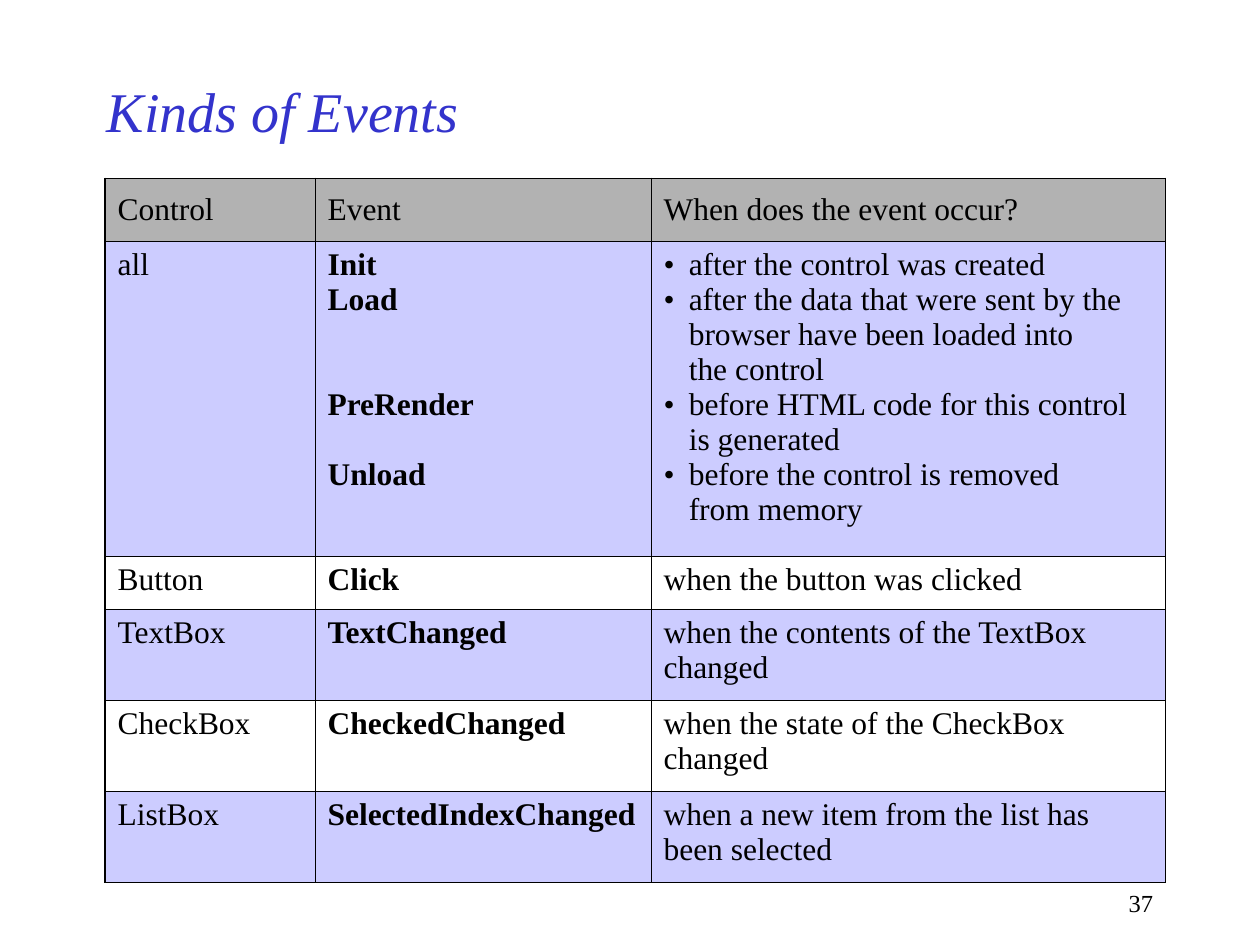
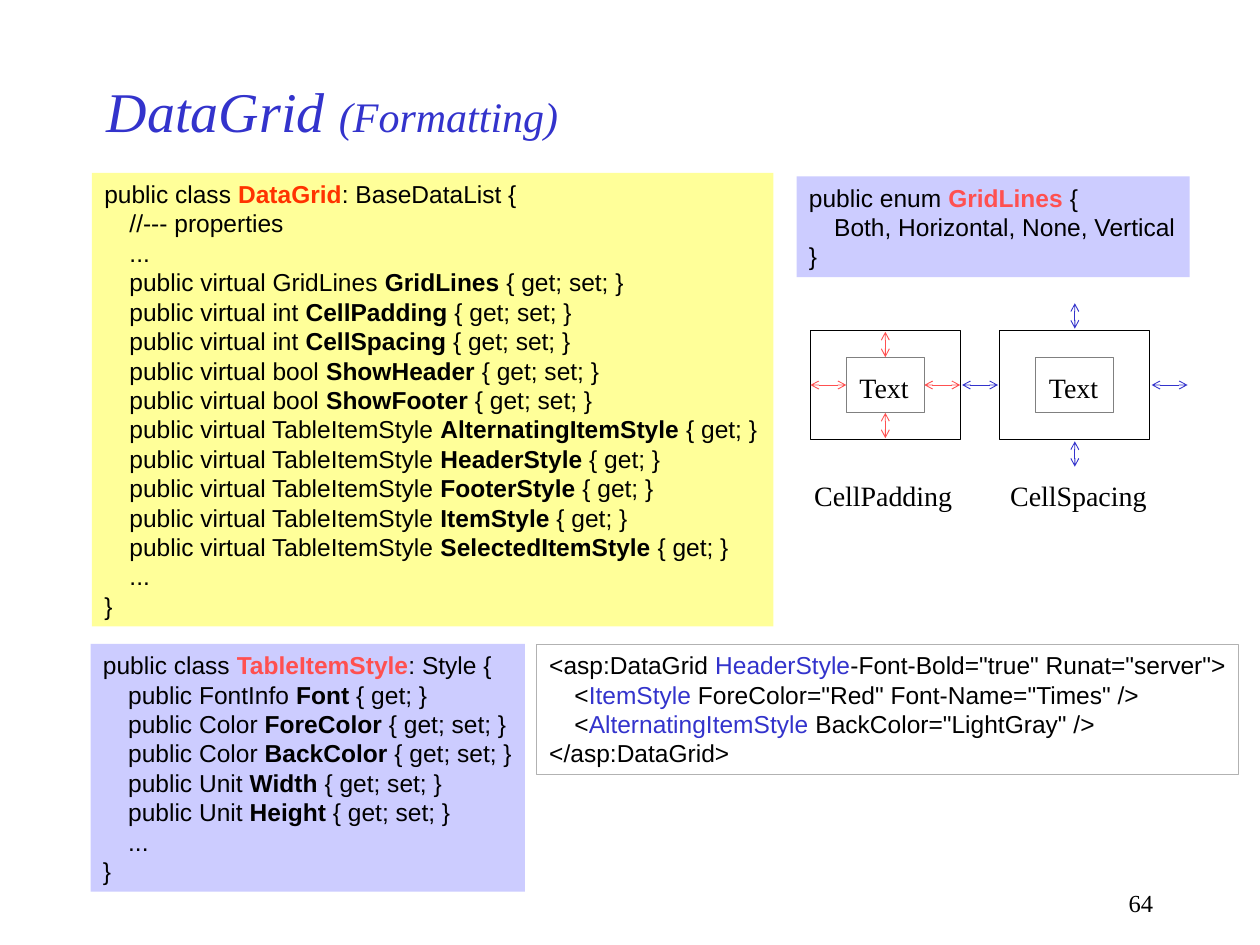
from lxml.etree import SubElement
from pptx import Presentation
from pptx.dml.color import RGBColor
from pptx.enum.shapes import MSO_CONNECTOR, MSO_SHAPE
from pptx.enum.text import MSO_ANCHOR, MSO_AUTO_SIZE, PP_ALIGN
from pptx.oxml import parse_xml
from pptx.oxml.ns import nsdecls, qn
from pptx.util import Pt

BLACK = RGBColor(0x00, 0x00, 0x00)
BLUE = RGBColor(0x33, 0x33, 0xCC)
RED = RGBColor(0xFF, 0x50, 0x50)
ORANGE = RGBColor(0xFF, 0x33, 0x00)
YELLOW = RGBColor(0xFF, 0xFF, 0x99)
LAVENDER = RGBColor(0xCC, 0xCC, 0xFF)
SILVER = RGBColor(0xB2, 0xB2, 0xB2)
GRAY = RGBColor(0x80, 0x80, 0x80)

SERIF = "Times New Roman"
SANS = "Arial"
TABLE_LINE = 19.93  # height of one 18 pt line
CODE_LINE = 16.8
CODE_TAB = 14.4
OUTER_BORDER, INNER_BORDER = 1.08, 0.45

EVENT_COLUMNS = [120, 192, 294]
EVENT_ROW_HEIGHTS = [36, 180, 30, 52, 52, 52]
EVENTS = [
    ("Control", "Event", "When does the event occur?"),
    ("all", "Init\nLoad\nPreRender\nUnload",
     "after the control was created\n"
     "after the data that were sent by the\vbrowser have been loaded into\vthe control\n"
     "before HTML code for this control\vis generated\n"
     "before the control is removed\vfrom memory"),
    ("Button", "Click", "when the button was clicked"),
    ("TextBox", "TextChanged", "when the contents of the TextBox\nchanged"),
    ("CheckBox", "CheckedChanged", "when the state of the CheckBox changed"),
    ("ListBox", "SelectedIndexChanged",
     "when a new item from the list has been selected"),
]

# Asterisks enclose the emphasised part of a code line.
DATA_GRID_CODE = """public class *DataGrid*: BaseDataList {
\t//--- properties
\t...
\tpublic virtual GridLines *GridLines* { get; set; }
\tpublic virtual int *CellPadding* { get; set; }
\tpublic virtual int *CellSpacing* { get; set; }
\tpublic virtual bool *ShowHeader* { get; set; }
\tpublic virtual bool *ShowFooter* { get; set; }
\tpublic virtual TableItemStyle *AlternatingItemStyle* { get; }
\tpublic virtual TableItemStyle *HeaderStyle* { get; }
\tpublic virtual TableItemStyle *FooterStyle* { get; }
\tpublic virtual TableItemStyle *ItemStyle* { get; }
\tpublic virtual TableItemStyle *SelectedItemStyle* { get; }
\t...
}"""
GRID_LINES_CODE = """public enum *GridLines* {
\tBoth, Horizontal, None, Vertical
}"""
ITEM_STYLE_CODE = """public class *TableItemStyle*: Style {
\tpublic FontInfo *Font* { get; }
\tpublic Color *ForeColor* { get; set; }
\tpublic Color *BackColor* { get; set; }
\tpublic Unit *Width* { get; set; }
\tpublic Unit *Height* { get; set; }
\t...
}"""
ASP_CODE = """<asp:DataGrid *HeaderStyle*-Font-Bold="true" Runat="server">
\t<*ItemStyle* ForeColor="Red" Font-Name="Times" />
\t<*AlternatingItemStyle* BackColor="LightGray" />
</asp:DataGrid>"""


def format_run(r, size, color=BLACK, font=SERIF, bold=False, italic=False):
    r.font.size = Pt(size)
    r.font.name = font
    r.font.color.rgb = color
    r.font.bold = bold
    r.font.italic = italic


def add_text(s, x, y, w, h, text, size, align=PP_ALIGN.LEFT, wrap=False, inset=True):
    tf = s.shapes.add_textbox(Pt(x), Pt(y), Pt(w), Pt(h)).text_frame
    tf.word_wrap = wrap
    if not inset:
        tf.margin_left = tf.margin_right = tf.margin_top = tf.margin_bottom = 0
    p = tf.paragraphs[0]
    p.text = text
    p.alignment = align
    format_run(p.runs[0], size)
    return tf


def add_frame(s, title, number, subtitle=""):
    """Add the title and the page number that every slide carries."""
    tf = add_text(s, 54, 36, 540, 54, title, 32, wrap=True)
    tf.vertical_anchor = MSO_ANCHOR.MIDDLE
    p = tf.paragraphs[0]
    format_run(p.runs[0], 32, BLUE, italic=True)
    if subtitle:
        r = p.add_run()
        r.text = subtitle
        format_run(r, 24, BLUE, italic=True)
    add_text(s, 516, 504, 150, 24, str(number), 14, PP_ALIGN.RIGHT, wrap=True)


def add_box(s, x, y, w, h, fill=None, line=None):
    sp = s.shapes.add_shape(MSO_SHAPE.RECTANGLE, Pt(x), Pt(y), Pt(w), Pt(h))
    sp.shadow.inherit = False
    if fill is None:
        sp.fill.background()
    else:
        sp.fill.solid()
        sp.fill.fore_color.rgb = fill
    if line is None:
        sp.line.fill.background()
    else:
        sp.line.color.rgb = line
        sp.line.width = Pt(0.5)
    return sp


def add_code(s, x, y, w, h, code, name_color, fill=None, line=None,
             member_color=BLACK, bold=True):
    """Add a code box; name_color marks the first line, member_color the others."""
    tf = add_box(s, x, y, w, h, fill, line).text_frame
    tf.word_wrap = False
    tf.auto_size = MSO_AUTO_SIZE.SHAPE_TO_FIT_TEXT
    tf.vertical_anchor = MSO_ANCHOR.TOP
    for i, code_line in enumerate(code.split("\n")):
        p = tf.add_paragraph() if i else tf.paragraphs[0]
        p.alignment = PP_ALIGN.LEFT
        p.line_spacing = Pt(CODE_LINE)
        tabs = SubElement(p._p.get_or_add_pPr(), qn("a:tabLst"))
        SubElement(tabs, qn("a:tab"), pos=str(Pt(CODE_TAB)), algn="l")
        for j, part in enumerate(code_line.split("*")):
            r = p.add_run()
            r.text = part
            if j % 2:
                format_run(r, 14, member_color if i else name_color, SANS, bold)
            else:
                format_run(r, 14, font=SANS)


def add_arrow(s, x1, y1, x2, y2, color):
    """Add a thin arrow with a small head at both ends."""
    c = s.shapes.add_connector(MSO_CONNECTOR.STRAIGHT, Pt(x1), Pt(y1), Pt(x2), Pt(y2))
    c.line.color.rgb = color
    c.line.width = Pt(0.5)
    ln = c.line._get_or_add_ln()
    for end in ("a:headEnd", "a:tailEnd"):
        SubElement(ln, qn(end), type="arrow", w="sm", len="sm")
    SubElement(c._element.spPr, qn("a:effectLst"))


def add_arrows_around(s, x, y, w, h, gap, color):
    """Add four arrows that point away from the sides of a rectangle."""
    across, down = 20.5, 14.5
    mid_x, mid_y = x + w / 2, y + h / 2
    right, bottom = x + w + gap, y + h + gap
    add_arrow(s, right, mid_y, right + across, mid_y, color)
    add_arrow(s, x - gap - across, mid_y, x - gap, mid_y, color)
    add_arrow(s, mid_x, bottom, mid_x, bottom + down, color)
    add_arrow(s, mid_x, y - gap - down, mid_x, y - gap, color)


def add_grid_cell(s, x, label, label_x, spacing):
    """Draw a labelled grid cell with arrows for its spacing or its padding."""
    y, w, h = 188.8, 85.8, 62.4
    inner_w, inner_h = 44.6, 31.8
    inner_x, inner_y = x + (w - inner_w) / 2, y + (h - inner_h) / 2
    add_box(s, x, y, w, h, line=BLACK)
    add_text(s, inner_x + 7.5, 211.7, 32, 19.4, "Text", 16, inset=False)
    add_box(s, inner_x, inner_y, inner_w, inner_h, line=GRAY)
    if spacing:
        add_arrows_around(s, x, y, w, h, 1, BLUE)
    else:
        add_arrows_around(s, inner_x, inner_y, inner_w, inner_h, 0, RED)
    add_text(s, label_x, 270, 100, 26.6, label, 16)


def set_borders(cell, widths):
    """Set black borders; widths are left, right, top, bottom."""
    tc_pr = cell._tc.get_or_add_tcPr()
    for i, (side, width) in enumerate(zip("LRTB", widths)):
        tc_pr.insert(i, parse_xml(
            f'<a:ln{side} {nsdecls("a")} w="{Pt(width)}"><a:solidFill>'
            f'<a:srgbClr val="{BLACK}"/></a:solidFill></a:ln{side}>'))


def set_bullet(p):
    p_pr = p._p.get_or_add_pPr()
    p_pr.set("marL", str(Pt(14.4)))
    p_pr.set("indent", str(-Pt(14.4)))
    SubElement(p_pr, qn("a:buFont"), typeface=SERIF)
    SubElement(p_pr, qn("a:buChar"), char="•")


def add_event_table(s):
    n_rows, n_cols = len(EVENTS), len(EVENT_COLUMNS)
    table = s.shapes.add_table(n_rows, n_cols, Pt(60), Pt(102),
                               Pt(sum(EVENT_COLUMNS)), Pt(sum(EVENT_ROW_HEIGHTS))).table
    table.first_row = table.horz_banding = False
    for column, width in zip(table.columns, EVENT_COLUMNS):
        column.width = Pt(width)
    for row, height in zip(table.rows, EVENT_ROW_HEIGHTS):
        row.height = Pt(height)
    for i, texts in enumerate(EVENTS):
        for j, text in enumerate(texts):
            cell = table.cell(i, j)
            cell.text_frame.text = text
            for p in cell.text_frame.paragraphs:
                if (i, j) == (1, 2):
                    set_bullet(p)
                for r in p.runs:
                    format_run(r, 18, bold=i > 0 and j == 1)
            if i % 2 or i == 0:
                cell.fill.solid()
                cell.fill.fore_color.rgb = LAVENDER if i else SILVER
            else:
                cell.fill.background()
            if i == 0:
                cell.vertical_anchor = MSO_ANCHOR.MIDDLE
            is_thick = (j == 0, j == n_cols - 1, i == 0, False)
            set_borders(cell, [OUTER_BORDER if t else INNER_BORDER for t in is_thick])
    # Each event name starts level with its description.
    names = table.cell(1, 1).text_frame.paragraphs
    names[2].space_before = Pt(2 * TABLE_LINE)
    names[3].space_before = Pt(TABLE_LINE)


def main():
    prs = Presentation()
    prs.slide_width, prs.slide_height = Pt(720), Pt(540)
    blank = prs.slide_layouts[6]

    s = prs.slides.add_slide(blank)
    add_frame(s, "Kinds of Events", 37)
    add_event_table(s)

    s = prs.slides.add_slide(blank)
    add_frame(s, "DataGrid ", 64, "(Formatting)")
    add_code(s, 52.5, 98.8, 389.5, 259.2, DATA_GRID_CODE, ORANGE, fill=YELLOW)
    add_code(s, 455.2, 100.8, 224.6, 57.6, GRID_LINES_CODE, RED, fill=LAVENDER)
    add_grid_cell(s, 463, "CellPadding", 458.2, spacing=False)
    add_grid_cell(s, 571.3, "CellSpacing", 570.2, spacing=True)
    add_code(s, 51.8, 368, 248.2, 141.6, ITEM_STYLE_CODE, RED, fill=LAVENDER)
    add_code(s, 306.8, 368, 401, 74.4, ASP_CODE, BLUE, line=SILVER,
             member_color=BLUE, bold=False)

    prs.save("out.pptx")


if __name__ == "__main__":
    main()
